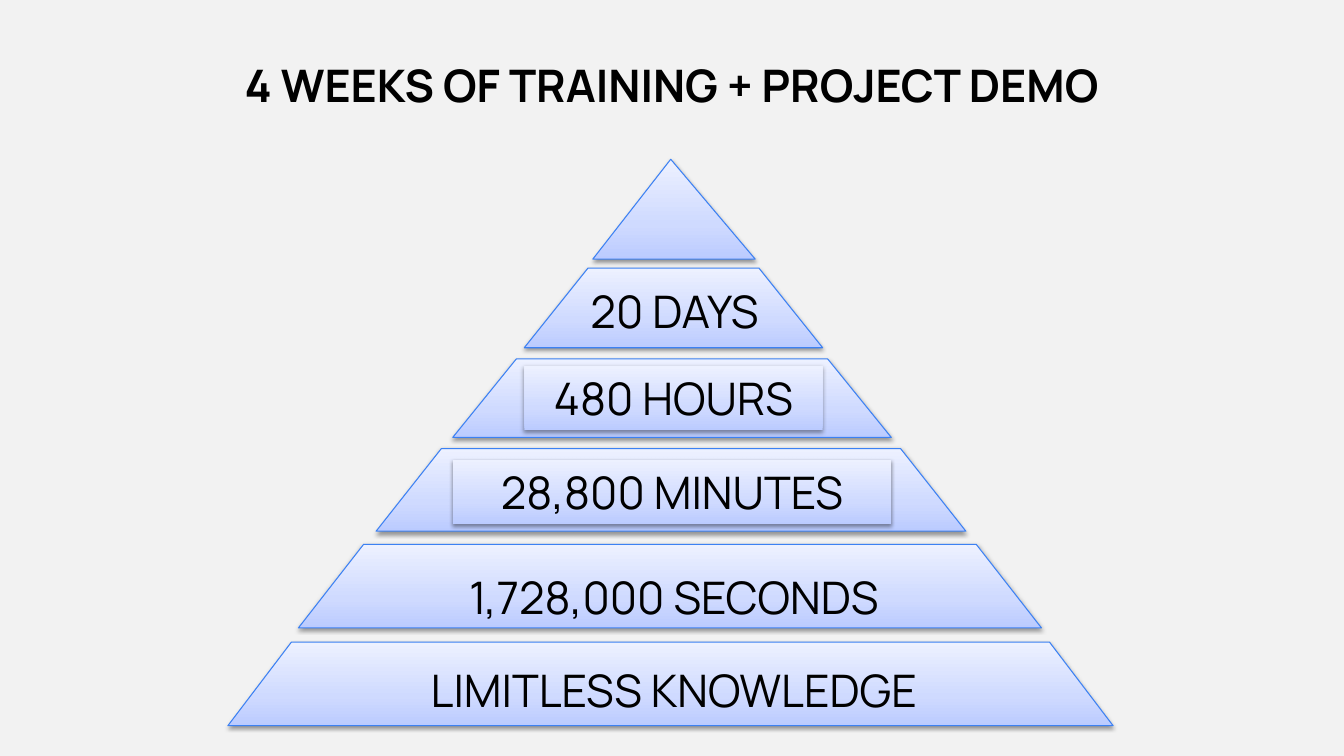
from pptx import Presentation
from pptx.dml.color import RGBColor
from pptx.enum.shapes import MSO_SHAPE as SHAPE
from pptx.enum.text import MSO_ANCHOR as ANCHOR, MSO_AUTO_SIZE as AUTO_SIZE, PP_ALIGN as ALIGN
from pptx.oxml import parse_xml
from pptx.oxml.ns import nsdecls
from pptx.util import Emu, Pt

BACKGROUND = RGBColor(0xF2, 0xF2, 0xF2)
INK = RGBColor(0x00, 0x00, 0x00)
OUTLINE = RGBColor(0x3C, 0x81, 0xF3)
GRADIENT = [
    (0, RGBColor(0xBB, 0xCB, 0xFF)),
    (35, RGBColor(0xCF, 0xDA, 0xFF)),
    (100, RGBColor(0xED, 0xF1, 0xFF)),
]
EMU_PER_PX = 9144  # 100 px to the inch


def px(length):
    return Emu(length * EMU_PER_PX)


class PyramidSlide:
    font = {"name": "Manrope", "size": Pt(32), "bold": False}

    def __init__(self, deck):
        self.slide = deck.slides.add_slide(deck.slide_layouts[5])
        fill = self.slide.background.fill
        fill.solid()
        fill.fore_color.rgb = BACKGROUND

    def set_text(self, shape, text, insets=(10, 5, 10, 5), anchor=ANCHOR.TOP, spacing=1.0, **font):
        frame = shape.text_frame
        left, top, right, bottom = map(px, insets)
        layout = {
            "word_wrap": True, "auto_size": AUTO_SIZE.NONE, "vertical_anchor": anchor,
            "margin_left": left, "margin_top": top,
            "margin_right": right, "margin_bottom": bottom,
        }
        for name, value in layout.items():
            setattr(frame, name, value)
        frame.text = text
        paragraph = frame.paragraphs[0]
        paragraph.alignment = ALIGN.CENTER
        paragraph.line_spacing = spacing
        run_font = paragraph.runs[0].font
        for name, value in {**self.font, **font}.items():
            setattr(run_font, name, value)
        run_font.color.rgb = INK

    def title(self, text, box, insets):
        title = self.slide.shapes.title
        for name, value in zip(("left", "top", "width", "height"), box):
            setattr(title, name, px(value))
        self.set_text(title, text, insets, ANCHOR.MIDDLE, 1.1, bold=True)

    def caption(self, text, box, **layout):
        self.set_text(self.slide.shapes.add_textbox(*map(px, box)), text, **layout)

    def block(self, kind, box, slant=None):
        block = self.slide.shapes.add_shape(kind, *map(px, box))
        if slant is not None:
            block.adjustments[0] = slant
        self.shade(block)
        block.line.color.rgb = OUTLINE
        block.line.width = Pt(0.75)
        return block

    def label(self, text, box):
        label = self.block(SHAPE.RECTANGLE, box)
        label.line.fill.background()
        self.set_text(label, text)

    def shade(self, shape):
        # Three-stop gradient rising from the bottom edge
        shape.fill.gradient()
        gradient = shape.element.spPr.find(".//{*}gradFill")
        stops = "".join(
            f'<a:gs pos="{at * 1000}"><a:srgbClr val="{color}"/></a:gs>' for at, color in GRADIENT
        )
        gradient.replace(
            gradient.find("{*}gsLst"),
            parse_xml(f'<a:gsLst {nsdecls("a")}>{stops}</a:gsLst>'),
        )
        gradient.find("{*}lin").set("ang", "16200000")
        # Soft shadow below
        shape.shadow.inherit = False
        shape.element.spPr.find("{*}effectLst").append(parse_xml(
            f'<a:outerShdw {nsdecls("a")} blurRad="{Pt(3.1)}" dist="{Pt(1.6)}" dir="5400000"'
            f' rotWithShape="0"><a:srgbClr val="{INK}"><a:alpha val="38000"/></a:srgbClr>'
            "</a:outerShdw>"
        ))


def main():
    deck = Presentation()
    deck.slide_width, deck.slide_height = px(1333), px(750)
    pyramid = PyramidSlide(deck)

    # Title, lifted by its bottom inset
    pyramid.title("4 WEEKS OF TRAINING + PROJECT DEMO", (0, 24, 1333, 168), (0, 0, 0, 54))

    # Pyramid tiers, top to bottom
    pyramid.block(SHAPE.ISOSCELES_TRIANGLE, (588, 158, 161, 99), 0.48)
    tiers = [
        ((520, 266, 296, 79), 0.8),
        ((449, 356, 435, 78), 0.81),
        ((373, 445, 585, 82), 0.79),
        ((296, 540, 737, 83), 0.78),
        ((226, 637, 878, 83), 0.76),
    ]
    for box, slant in tiers:
        pyramid.block(SHAPE.TRAPEZOID, box, slant)

    # Tier wording
    pyramid.caption("20 DAYS", (548, 277, 242, 64))
    pyramid.label("480 HOURS", (520, 363, 296, 64))
    pyramid.label("28,800 MINUTES", (449, 456, 435, 64))
    for text, top in (("1,728,000 SECONDS", 520), ("LIMITLESS KNOWLEDGE", 612)):
        pyramid.caption(text, (179, top, 979, 138), insets=(0, 0, 0, 0),
                        anchor=ANCHOR.MIDDLE, spacing=1.1)

    deck.save("out.pptx")


if __name__ == "__main__":
    main()
